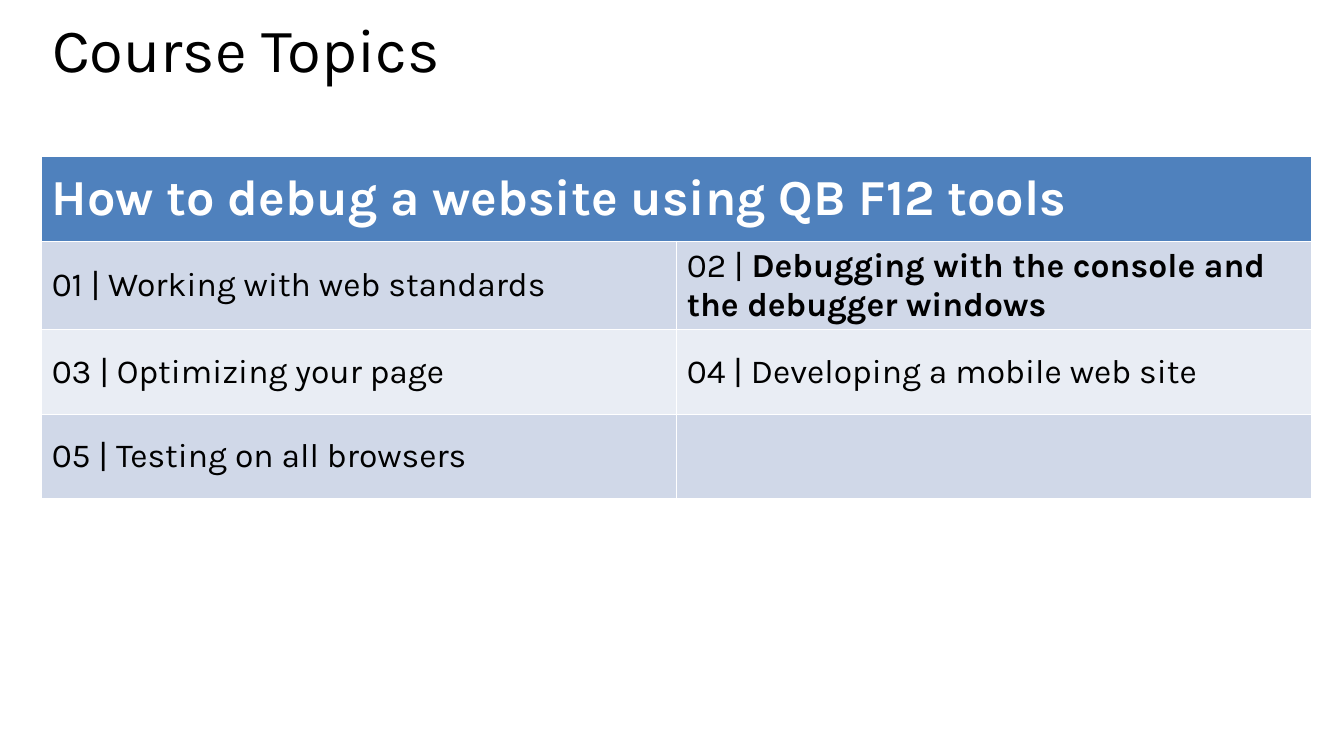
from dataclasses import dataclass

from pptx import Presentation
from pptx.dml.color import RGBColor
from pptx.enum.text import MSO_ANCHOR, MSO_AUTO_SIZE, PP_ALIGN
from pptx.table import _Cell
from pptx.text.text import _Run
from pptx.util import Pt

COLORS = {
    "text": "000000",
    "header_text": "FFFFFF",
    "header": "4F81BD",
    "band_dark": "D0D8E8",
    "band_light": "E9EDF4",
}
FONT = "Karla"
COLUMNS = 2
ROW_HEIGHT = Pt(60.5)
COLUMN_WIDTH = Pt(453.6)


@dataclass
class Topic:
    name: str
    current: bool = False


TOPICS = [
    Topic("Working with web standards"),
    Topic("Debugging with the console and the debugger windows", current=True),
    Topic("Optimizing your page"),
    Topic("Developing a mobile web site"),
    Topic("Testing on all browsers"),
]


def format_run(run: _Run, size: float, color: str, bold: bool = False) -> None:
    run.font.name = FONT
    run.font.size = Pt(size)
    run.font.bold = bold
    run.font.color.rgb = RGBColor.from_string(COLORS[color])


def fill_cell(cell: _Cell, color: str) -> None:
    cell.fill.solid()
    cell.fill.fore_color.rgb = RGBColor.from_string(COLORS[color])
    cell.vertical_anchor = MSO_ANCHOR.MIDDLE


def write_topic(cell: _Cell, number: int, topic: Topic) -> None:
    paragraph = cell.text_frame.paragraphs[0]
    for text, bold in ((f"{number:02} | ", False), (topic.name, topic.current)):
        run = paragraph.add_run()
        run.text = text
        format_run(run, 24, "text", bold)


presentation = Presentation()
presentation.slide_width, presentation.slide_height = Pt(960), Pt(540)
slide = presentation.slides.add_slide(presentation.slide_layouts[5])

# Title
title = slide.shapes.title
title.left, title.top, title.width, title.height = Pt(30), Pt(14.4), Pt(907.2), Pt(83.5)
title.text_frame.text = "Course Topics"
title.text_frame.auto_size = MSO_AUTO_SIZE.NONE
title.text_frame.vertical_anchor = MSO_ANCHOR.TOP
heading = title.text_frame.paragraphs[0]
heading.alignment = PP_ALIGN.LEFT
heading.line_spacing = 0.8
format_run(heading.runs[0], 44, "text")

# Table: a header above the topics, laid out row by row
topic_rows = -(-len(TOPICS) // COLUMNS)
course = slide.shapes.add_table(
    topic_rows + 1, COLUMNS, Pt(29.8), Pt(111.8),
    COLUMN_WIDTH * COLUMNS, ROW_HEIGHT * (topic_rows + 1),
).table
for column in course.columns:
    column.width = COLUMN_WIDTH
for row in course.rows:
    row.height = ROW_HEIGHT

# Header
header = course.cell(0, 0)
header.merge(course.cell(0, COLUMNS - 1))
fill_cell(header, "header")
header.text_frame.text = "How to debug a website using QB F12 tools"
format_run(header.text_frame.paragraphs[0].runs[0], 36, "header_text", bold=True)

# Topics in alternating bands
for index in range(topic_rows * COLUMNS):
    row_index, column_index = divmod(index, COLUMNS)
    topic_cell = course.cell(row_index + 1, column_index)
    fill_cell(topic_cell, "band_light" if row_index % 2 else "band_dark")
    if index < len(TOPICS):
        write_topic(topic_cell, index + 1, TOPICS[index])

presentation.save("out.pptx")
